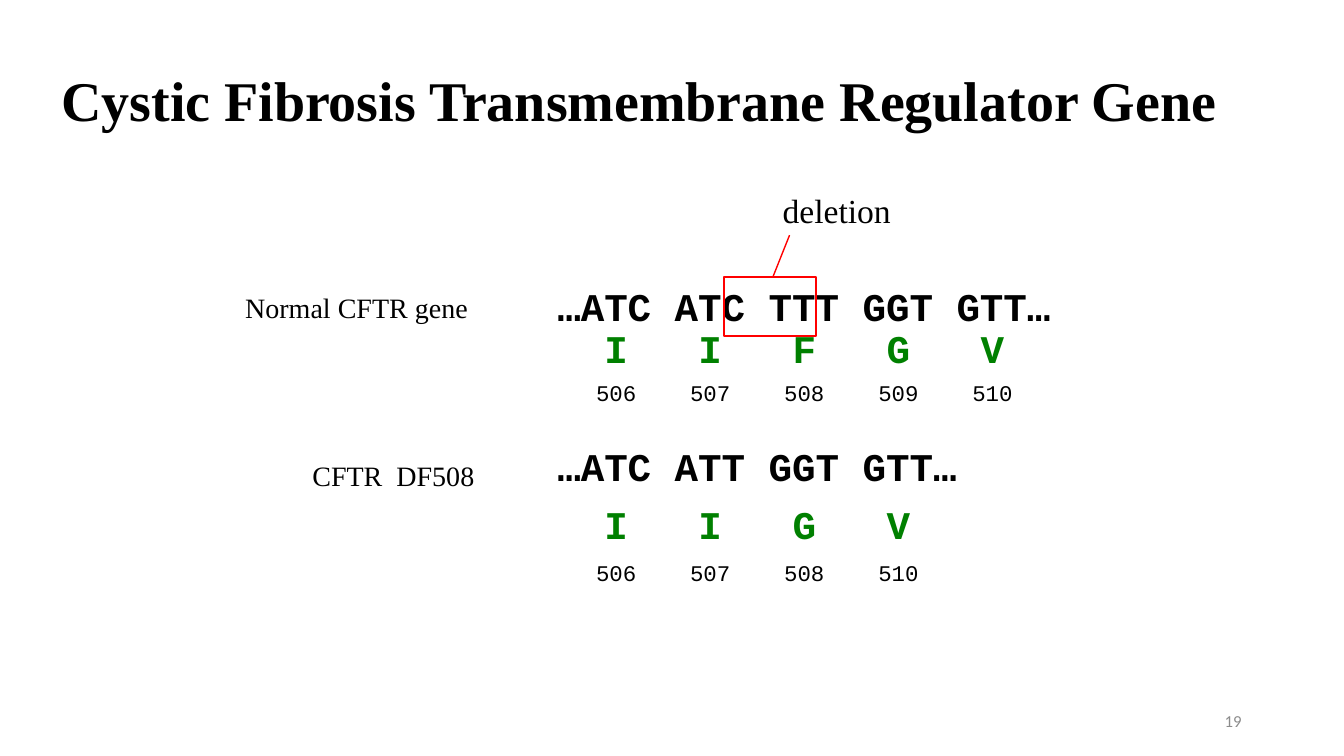
from dataclasses import dataclass

from lxml import etree
from pptx import Presentation
from pptx.dml.color import RGBColor
from pptx.enum.shapes import MSO_CONNECTOR, MSO_SHAPE
from pptx.enum.text import MSO_ANCHOR, PP_ALIGN
from pptx.oxml.ns import qn
from pptx.util import Pt

LEFT, CENTER, RIGHT = PP_ALIGN.LEFT, PP_ALIGN.CENTER, PP_ALIGN.RIGHT
TOP, MIDDLE, BOTTOM = MSO_ANCHOR.TOP, MSO_ANCHOR.MIDDLE, MSO_ANCHOR.BOTTOM
RECTANGLE = MSO_SHAPE.RECTANGLE
STRAIGHT = MSO_CONNECTOR.STRAIGHT


@dataclass(frozen=True)
class Theme:
    serif: str = "Times New Roman"
    mono: str = "Courier New"
    sans: str = "Calibri"
    ink: str = "000000"
    amino: str = "008000"
    mark: str = "FF0000"
    muted: str = "8C8C8C"
    title: int = 40
    sequence: int = 28
    callout: int = 24
    label: int = 20
    position: int = 16
    footer: int = 12


class SlideBuilder:
    def __init__(self, page, theme):
        self.page = page
        self.theme = theme

    def text(self, content, frame, size, face, color=None, bold=False,
             align=LEFT, anchor=TOP, spacing=1.0, tabs=()):
        box = self.page.shapes.add_textbox(*map(Pt, frame))
        for name, value in {"word_wrap": True, "vertical_anchor": anchor}.items():
            setattr(box.text_frame, name, value)
        para = box.text_frame.paragraphs[0]
        if tabs:
            stops = etree.SubElement(para._p.get_or_add_pPr(), qn("a:tabLst"))
            for stop in tabs:
                etree.SubElement(stops, qn("a:tab"), pos=str(Pt(stop)), algn="ctr")
        for name, value in {"alignment": align, "line_spacing": spacing}.items():
            setattr(para, name, value)
        span = para.add_run()
        span.text = content
        for name, value in {"name": face, "size": Pt(size), "bold": bold}.items():
            setattr(span.font, name, value)
        span.font.color.rgb = RGBColor.from_string(color or self.theme.ink)

    def columns(self, entries, frame, size, color, bold, tabs):
        content = "".join("\t" + entry for entry in entries)
        self.text(content, frame, size, self.theme.mono, color, bold, tabs=tabs)

    def stroke(self, line, width):
        line.color.rgb = RGBColor.from_string(self.theme.mark)
        line.width = Pt(width)

    def outline(self, frame, width):
        shape = self.page.shapes.add_shape(RECTANGLE, *map(Pt, frame))
        shape.shadow.inherit = False
        shape.fill.background()
        self.stroke(shape.line, width)

    def connect(self, start, end, width):
        connector = self.page.shapes.add_connector(STRAIGHT, *map(Pt, start + end))
        self.stroke(connector.line, width)
        etree.SubElement(connector._element.spPr, qn("a:effectLst"))


def main():
    deck = Presentation()
    deck.slide_width, deck.slide_height = Pt(960), Pt(540)
    theme = Theme()
    page = deck.slides.add_slide(deck.slide_layouts[6])
    builder = SlideBuilder(page, theme)

    builder.text("Cystic Fibrosis Transmembrane Regulator Gene", (9.4, 33, 894, 66.3),
                 theme.title, theme.serif, bold=True, align=CENTER,
                 anchor=BOTTOM, spacing=0.9)
    builder.text("19", (678, 500.5, 216, 28.75), theme.footer, theme.sans,
                 theme.muted, align=RIGHT, anchor=MIDDLE)

    sequence_left, sequence_width = 391, 372
    letter = theme.sequence * 0.6
    genes = [
        ("Normal CFTR gene", (168, 204, 204, 32), "ATC ATC TTT GGT GTT",
         "IIFGV", (506, 507, 508, 509, 510), (198, 228.2, 267.1)),
        ("CFTR  DF508", (216, 324, 156, 32), "ATC ATT GGT GTT",
         "IIGV", (506, 507, 508, 510), (312.7, 354.2, 396)),
    ]
    for label, label_frame, codons, acids, positions, tops in genes:
        sequence_frame, acid_frame, position_frame = (
            (sequence_left, top, sequence_width, height)
            for top, height in zip(tops, (41, 41, 26.6)))
        tabs = [letter * (2.5 + 4 * index) for index in range(len(acids))]
        builder.text(label, label_frame, theme.label, theme.serif)
        builder.text(f"…{codons}…", sequence_frame, theme.sequence, theme.mono, bold=True)
        builder.columns(acids, acid_frame, theme.sequence, theme.amino, True, tabs)
        builder.columns(map(str, positions), position_frame, theme.position,
                        theme.ink, False, tabs)

    builder.outline((517, 198, 66, 42), 1.5)
    builder.text("deletion", (552, 132, 100, 36), theme.callout, theme.serif)
    builder.connect((552, 198), (564, 168), 1)

    deck.save("out.pptx")


if __name__ == "__main__":
    main()
